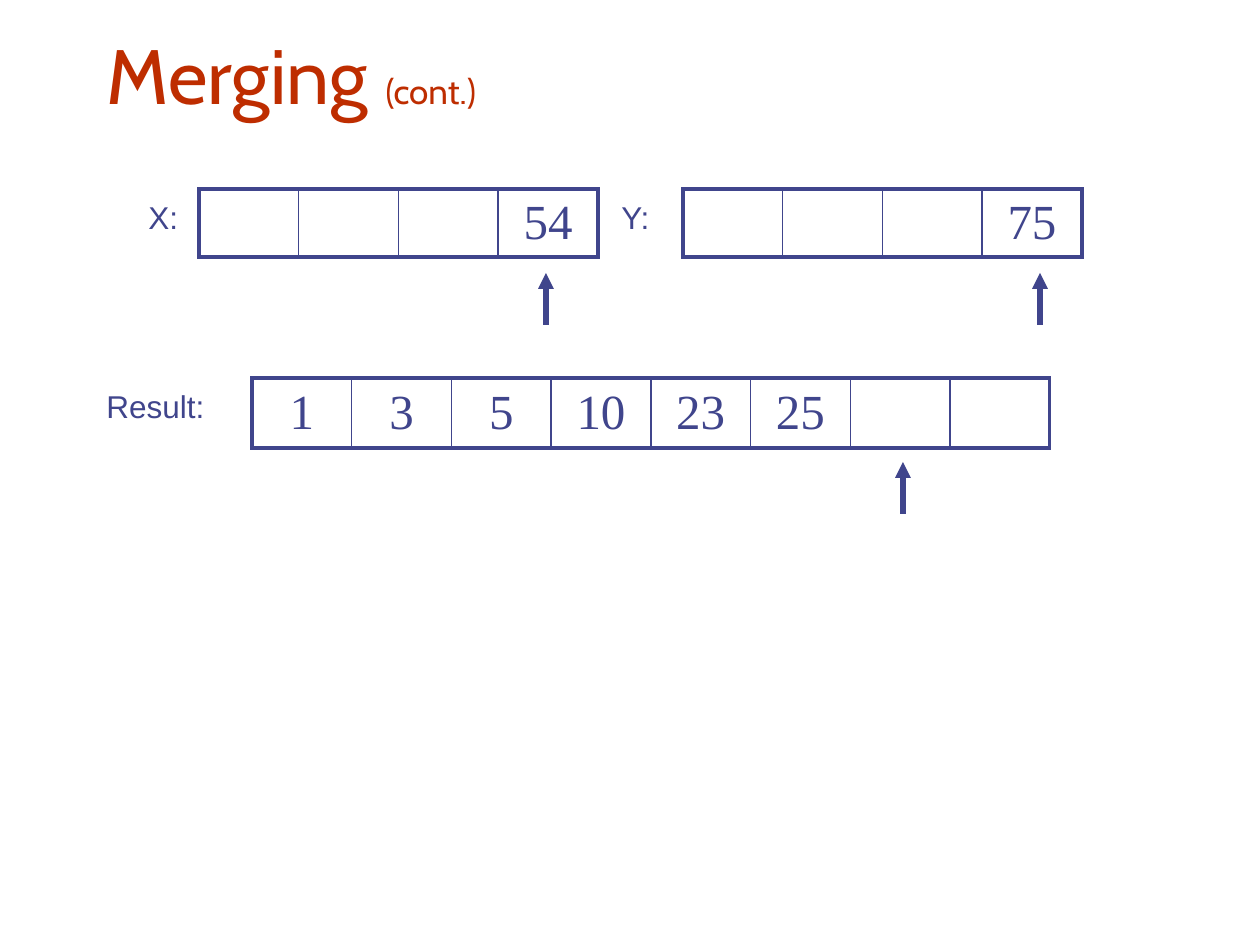
from lxml import etree
from pptx import Presentation
from pptx.dml.color import RGBColor
from pptx.enum.shapes import MSO_CONNECTOR
from pptx.enum.text import MSO_ANCHOR, MSO_AUTO_SIZE, PP_ALIGN
from pptx.oxml.ns import qn
from pptx.util import Emu, Pt

STRAIGHT = MSO_CONNECTOR.STRAIGHT
LEFT, CENTER = PP_ALIGN.LEFT, PP_ALIGN.CENTER
MIDDLE, BOTTOM = MSO_ANCHOR.MIDDLE, MSO_ANCHOR.BOTTOM
NO_AUTOFIT = MSO_AUTO_SIZE.NONE
INDIGO = "40458C"
RUST = "BE2D00"
ARROW_LENGTH = 52


def px(n):
    return Emu(round(n * 914400 / 126))


def color(value):
    return RGBColor.from_string(value)


def write(p, text, size=18, font="Arial", fill=INDIGO, align=LEFT):
    p.alignment = align
    r = p.add_run()
    r.text = text
    r.font.size = Pt(size)
    r.font.name = font
    r.font.color.rgb = color(fill)


def add_title(s, text, suffix):
    sp = s.shapes.title
    sp.left, sp.top, sp.width, sp.height = px(94), px(21), px(1072), px(105)
    tf = sp.text_frame
    tf.auto_size = NO_AUTOFIT
    tf.vertical_anchor = BOTTOM
    p = tf.paragraphs[0]
    write(p, text, size=44, font="Cabin", fill=RUST)
    write(p, suffix, size=20, font="Cabin", fill=RUST)


def add_label(s, text, x, y, width):
    tf = s.shapes.add_textbox(px(x), px(y), px(width), px(63)).text_frame
    tf.word_wrap = True
    tf.margin_top = px(9)
    write(tf.paragraphs[0], text)


def add_border(cell, side, width):
    ln = etree.SubElement(cell._tc.get_or_add_tcPr(), qn(f"a:{side}"), w=str(Pt(width)))
    fill = etree.SubElement(ln, qn("a:solidFill"))
    etree.SubElement(fill, qn("a:srgbClr"), val=INDIGO)


def add_array(s, values, x, y, width, height):
    count = len(values)
    frame = s.shapes.add_table(1, count, px(x), px(y), px(width), px(height))
    table = frame.table
    table.first_row = table.horz_banding = False
    table.rows[0].height = px(height)
    for i, value in enumerate(values):
        table.columns[i].width = px(width / count)
        cell = table.cell(0, i)
        cell.vertical_anchor = MIDDLE
        add_border(cell, "lnL", 2.25 if i == 0 else 1)
        add_border(cell, "lnR", 2.25 if i == count - 1 else 1)
        add_border(cell, "lnT", 2.25)
        add_border(cell, "lnB", 2.25)
        cell.fill.background()
        if value:
            p = cell.text_frame.paragraphs[0]
            write(p, value, size=28, font="Times New Roman", align=CENTER)


def add_pointer(s, x, tip):
    line = s.shapes.add_connector(STRAIGHT, px(x), px(tip + ARROW_LENGTH), px(x), px(tip))
    line.line.color.rgb = color(INDIGO)
    line.line.width = Pt(3)
    etree.SubElement(line.line._get_or_add_ln(), qn("a:tailEnd"), type="triangle")
    etree.SubElement(line._element.spPr, qn("a:effectLst"))


def main():
    prs = Presentation()
    prs.slide_width, prs.slide_height = px(1260), px(945)
    s = prs.slides.add_slide(prs.slide_layouts[5])
    add_title(s, "Merging ", "(cont.)")

    add_array(s, ["", "", "", "54"], 199, 189, 399, 68)
    add_array(s, ["", "", "", "75"], 683, 189, 399, 68)
    add_array(s, ["1", "3", "5", "10", "23", "25", "", ""], 252, 378, 798, 70)

    for x, tip in [(546, 273), (1040, 273), (903, 462)]:
        add_pointer(s, x, tip)

    add_label(s, "X:", 136, 189, 73)
    add_label(s, "Y:", 609, 189, 73)
    add_label(s, "Result:", 94, 378, 147)
    prs.save("out.pptx")


if __name__ == "__main__":
    main()
